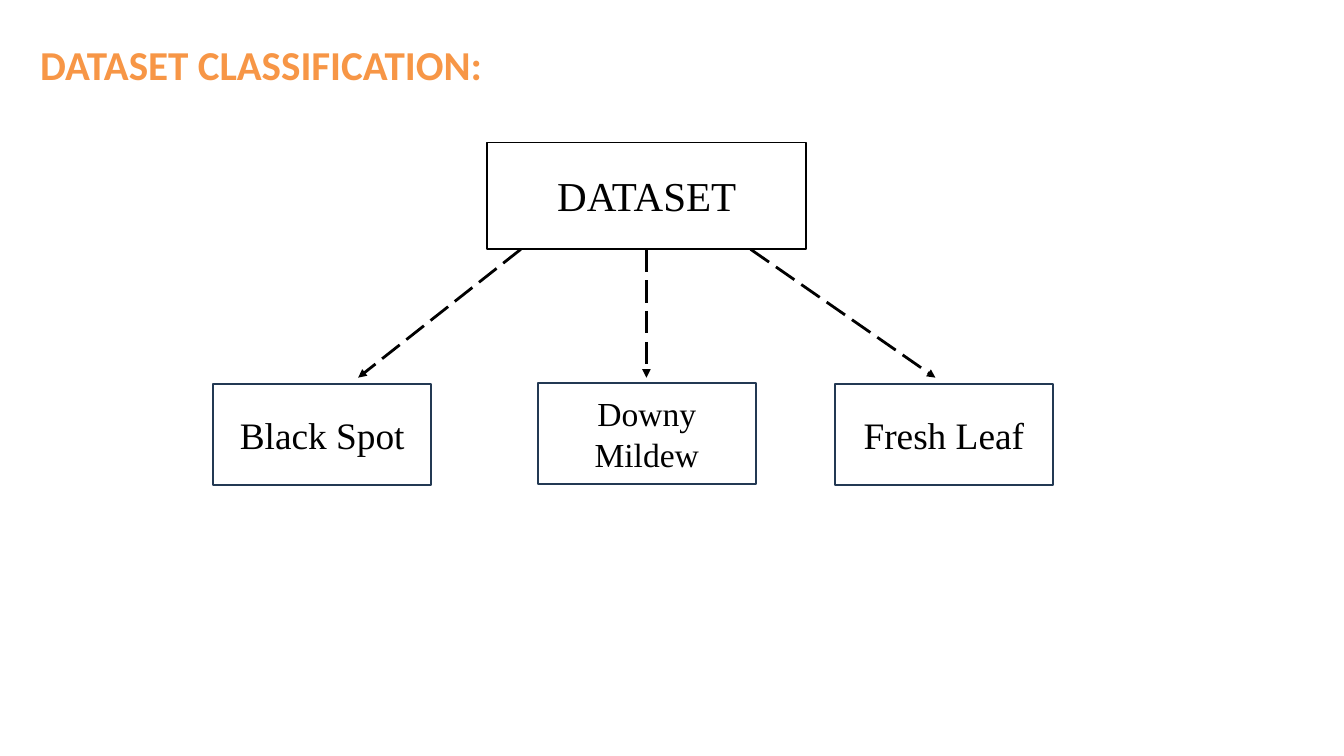
from dataclasses import dataclass

from lxml import etree
from pptx import Presentation
from pptx.dml.color import RGBColor as RGB
from pptx.enum.dml import MSO_LINE as Dash
from pptx.enum.shapes import MSO_CONNECTOR as Link, MSO_SHAPE as Shape
from pptx.enum.text import MSO_ANCHOR as Anchor, PP_ALIGN as Align
from pptx.oxml.ns import qn
from pptx.util import Inches, Pt


@dataclass(frozen=True)
class Theme:
    accent: RGB = RGB(0xF7, 0x96, 0x46)
    ink: RGB = RGB(0, 0, 0)
    edge: RGB = RGB(0x23, 0x39, 0x53)
    paper: RGB = RGB(0xFF, 0xFF, 0xFF)
    head: str = "Calibri"
    body: str = "Times New Roman"
    large: int = 44
    medium: int = 40
    small: int = 36
    border: int = 2
    arrow: int = 3


THEME = Theme()
TITLE = "DATASET CLASSIFICATION:"
ROOT = ("DATASET", (7.25, 2.12, 4.75, 1.58))
# label, left, top, type size, arrow start x, arrow end x
CLASSES = [
    ("Black Spot", 3.17, 5.72, THEME.medium, 7.75, 5.33),
    ("Downy Mildew", 8, 5.7, THEME.small, 9.62, 9.62),
    ("Fresh Leaf", 12.42, 5.72, THEME.medium, 11.17, 13.92),
]
CLASS_SIZE = (3.25, 1.5)
ARROW_TOP, ARROW_END = 3.71, 5.62


def write(shape, text, font, size, color, align, bold=False):
    frame = shape.text_frame
    frame.text = text
    frame.word_wrap = True
    frame.vertical_anchor = Anchor.MIDDLE
    para = frame.paragraphs[0]
    para.alignment = align
    face = para.runs[0].font
    face.name, face.size, face.bold = font, Pt(size), bold
    face.color.rgb = color


def add_box(slide, text, place, size, edge):
    box = slide.shapes.add_shape(Shape.RECTANGLE, *map(Inches, place))
    box.shadow.inherit = False
    box.fill.solid()
    box.fill.fore_color.rgb = THEME.paper
    box.line.color.rgb = edge
    box.line.width = Pt(THEME.border)
    write(box, text, THEME.body, size, THEME.ink, Align.CENTER)


def add_arrow(slide, start, end):
    ends = map(Inches, (start, ARROW_TOP, end, ARROW_END))
    arrow = slide.shapes.add_connector(Link.STRAIGHT, *ends)
    line = arrow.line
    line.color.rgb = THEME.ink
    line.width = Pt(THEME.arrow)
    line.dash_style = Dash.LONG_DASH
    props = arrow._element.spPr
    etree.SubElement(props.find(qn("a:ln")), qn("a:tailEnd"), type="triangle")
    etree.SubElement(props, qn("a:effectLst"))


def main():
    deck = Presentation()
    deck.slide_width, deck.slide_height = Inches(20), Inches(11.25)
    slide = deck.slides.add_slide(deck.slide_layouts[6])

    title = slide.shapes.add_textbox(*map(Inches, (0.5, 0.3, 19.25, 1.32)))
    write(title, TITLE, THEME.head, THEME.large, THEME.accent, Align.LEFT, True)

    label, place = ROOT
    add_box(slide, label, place, THEME.large, THEME.ink)
    for label, left, top, size, start, end in CLASSES:
        add_box(slide, label, (left, top, *CLASS_SIZE), size, THEME.edge)
        add_arrow(slide, start, end)

    deck.save("out.pptx")


if __name__ == "__main__":
    main()
